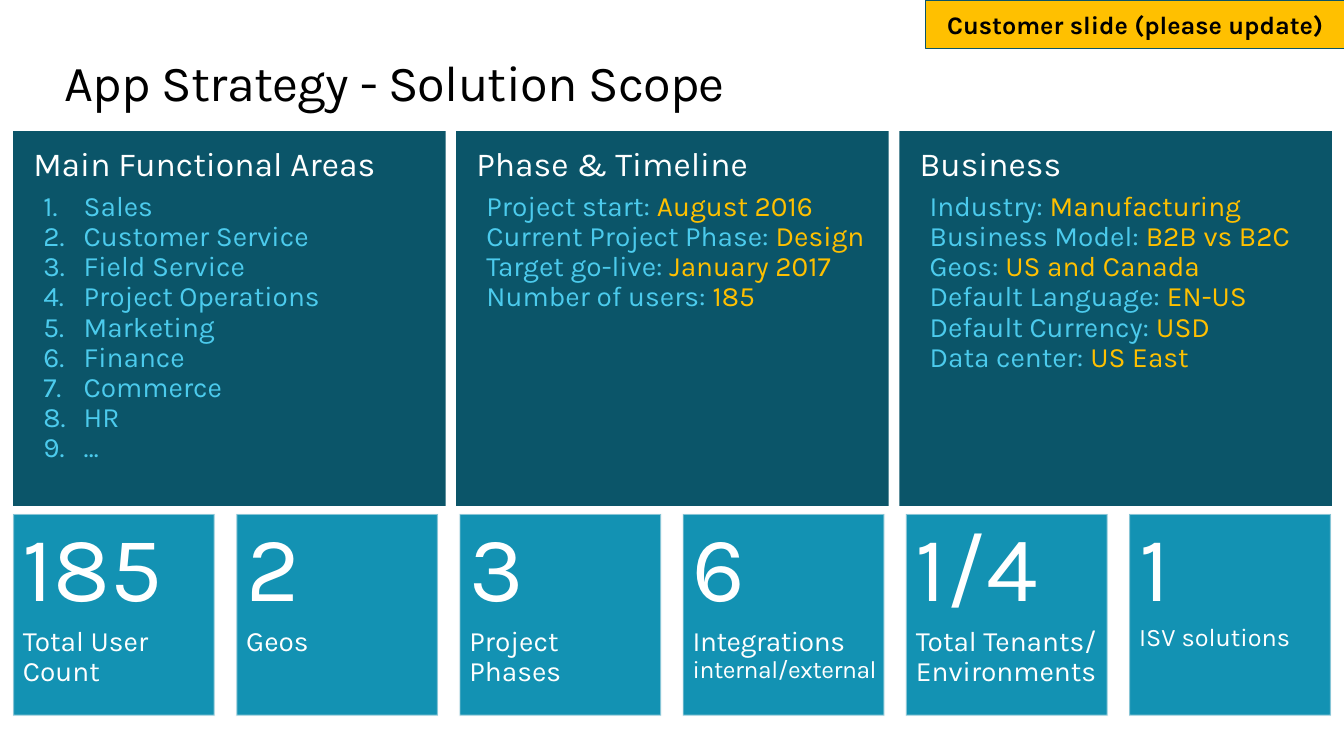
from lxml import etree
from pptx import Presentation
from pptx.dml.color import RGBColor
from pptx.enum.shapes import MSO_SHAPE
from pptx.enum.text import MSO_ANCHOR, MSO_AUTO_SIZE, PP_ALIGN
from pptx.oxml.ns import qn
from pptx.util import Inches, Pt

FONT = "Karla"
BLACK = RGBColor(0x00, 0x00, 0x00)
WHITE = RGBColor(0xFF, 0xFF, 0xFF)
OFF_WHITE = RGBColor(0xF9, 0xF9, 0xF9)
NAVY = RGBColor(0x0B, 0x55, 0x69)
TEAL = RGBColor(0x13, 0x92, 0xB3)
SKY = RGBColor(0x4C, 0xCB, 0xED)
GOLD = RGBColor(0xFF, 0xC0, 0x00)

LEFT = 0.13
PANEL_PITCH = 4.395
TILE_PITCH = 2.214

# Panels: heading, left margin and first-line indent, numbered, (label, value) rows
PANELS = [
    ("Main Functional Areas", 0.5, -0.4, True,
     [(area, "") for area in (
         "Sales", "Customer Service", "Field Service", "Project Operations",
         "Marketing", "Finance", "Commerce", "HR", "…")]),
    ("Phase & Timeline", 0, 0.1, False,
     [("Project start: ", "August 2016"),
      ("Current Project Phase: ", "Design"),
      ("Target go-live: ", "January 2017"),
      ("Number of users: ", "185")]),
    ("Business", 0.39, -0.29, False,
     [("Industry: ", "Manufacturing"),
      ("Business Model: ", "B2B vs B2C"),
      ("Geos: ", "US and Canada"),
      ("Default Language: ", "EN-US"),
      ("Default Currency: ", "USD"),
      ("Data center: ", "US East")]),
]

# Tiles: figure, caption runs (text, size, letter spacing), line spacing, right inset
TILES = [
    ("185", [("Total User Count", 20, 0)], 0.9, 0.1),
    ("2", [("Geos", 20, 0)], 0.9, 0.1),
    ("3", [("Project Phases", 20, 0)], 0.9, 0.1),
    ("6", [("Integrations ", 20, -0.3), ("internal/external", 17.6, -0.3)], 0.9, 0),
    ("1/4", [("Total Tenants/ Environments", 20, 0)], 0.9, 0.1),
    ("1", [("ISV solutions", 18, 0)], 0.8, 0.1),
]


class ScopeSlide:
    def __init__(self, presentation):
        self.slide = presentation.slides.add_slide(presentation.slide_layouts[5])

    def style(self, font, size, color, bold=False):
        font.name = FONT
        font.size = Pt(size)
        font.bold = bold
        font.color.rgb = color

    def track(self, run, points):
        if points:
            run.font._element.set("spc", str(round(points * 100)))

    def frame(self, shape, insets, anchor=MSO_ANCHOR.TOP):
        frame = shape.text_frame
        frame.word_wrap = True
        frame.vertical_anchor = anchor
        (frame.margin_left, frame.margin_top,
         frame.margin_right, frame.margin_bottom) = map(Inches, insets)
        return frame

    def box(self, left, top, width, height, fill):
        shape = self.slide.shapes.add_shape(
            MSO_SHAPE.RECTANGLE, *map(Inches, (left, top, width, height)))
        shape.shadow.inherit = False
        shape.fill.solid()
        shape.fill.fore_color.rgb = fill
        shape.line.fill.background()
        return shape

    def outline(self, shape, color, width, alpha=100):
        shape.line.color.rgb = color
        shape.line.width = Pt(width)
        if alpha < 100:
            rgb = shape.line._ln.find(".//" + qn("a:srgbClr"))
            etree.SubElement(rgb, qn("a:alpha"), val=str(alpha * 1000))

    def space(self, paragraph, line_spacing, after=0):
        paragraph.alignment = PP_ALIGN.LEFT
        paragraph.line_spacing = line_spacing
        paragraph.space_after = Pt(after)

    def title(self, text):
        title = self.slide.shapes.title
        title.left, title.top, title.width, title.height = map(
            Inches, (0.64, 0.5, 12.05, 0.61))
        frame = self.frame(title, (0, 0, 0, 0), MSO_ANCHOR.MIDDLE)
        frame.auto_size = MSO_AUTO_SIZE.NONE
        paragraph = frame.paragraphs[0]
        paragraph.alignment = PP_ALIGN.LEFT
        run = paragraph.add_run()
        run.text = text
        self.style(paragraph.font, 36, BLACK)
        self.track(run, -0.5)

    def banner(self, text):
        shape = self.box(9.18, 0, 4.16, 0.48, GOLD)
        self.outline(shape, NAVY, 0.25)
        frame = self.frame(shape, (0.1, 0.05, 0.1, 0.05), MSO_ANCHOR.MIDDLE)
        paragraph = frame.paragraphs[0]
        paragraph.text = text
        paragraph.alignment = PP_ALIGN.CENTER
        self.style(paragraph.font, 18, BLACK, bold=True)

    def panel(self, left, heading, margin, indent, numbered, rows):
        shape = self.box(left, 1.3, 4.29, 3.72, NAVY)
        frame = self.frame(shape, (0.2, 0.16, 0.2, 0.16))
        paragraph = frame.paragraphs[0]
        paragraph.text = heading
        self.space(paragraph, 0.9, 6)
        self.style(paragraph.font, 24, WHITE)
        for label, value in rows:
            paragraph = frame.add_paragraph()
            properties = paragraph._p.get_or_add_pPr()
            properties.set("marL", str(Inches(margin)))
            properties.set("indent", str(Inches(indent)))
            if numbered:
                etree.SubElement(properties, qn("a:buFont"), typeface="+mj-lt")
                etree.SubElement(properties, qn("a:buAutoNum"), type="arabicPeriod")
            self.space(paragraph, 0.9)
            if not value:
                paragraph.add_run().text = label
                self.style(paragraph.font, 20, SKY)
                continue
            for text, color in ((label, SKY), (value, GOLD)):
                run = paragraph.add_run()
                run.text = text
                self.style(run.font, 20, color)

    def tile(self, left, figure, caption, line_spacing, right_inset):
        shape = self.box(left, 5.1, 2, 2, TEAL)
        self.outline(shape, OFF_WHITE, 1.35, alpha=50)
        frame = self.frame(shape, (0.1, 0.16, right_inset, 0.16))
        paragraph = frame.paragraphs[0]
        paragraph.text = figure
        self.space(paragraph, 0.8, 5.9)
        self.style(paragraph.font, 66, WHITE)
        paragraph = frame.add_paragraph()
        self.space(paragraph, line_spacing, 5.9)
        for text, size, tracking in caption:
            run = paragraph.add_run()
            run.text = text
            self.style(run.font, size, WHITE)
            self.track(run, tracking)


def main():
    presentation = Presentation()
    presentation.slide_width = Inches(13.33)
    presentation.slide_height = Inches(7.5)
    scope = ScopeSlide(presentation)

    # Heading
    scope.banner("Customer slide (please update)")
    scope.title("App Strategy - Solution Scope")

    # Detail panels
    for index, panel in enumerate(PANELS):
        scope.panel(LEFT + index * PANEL_PITCH, *panel)

    # Key figures
    for index, tile in enumerate(TILES):
        scope.tile(LEFT + index * TILE_PITCH, *tile)

    presentation.save("out.pptx")


if __name__ == "__main__":
    main()
